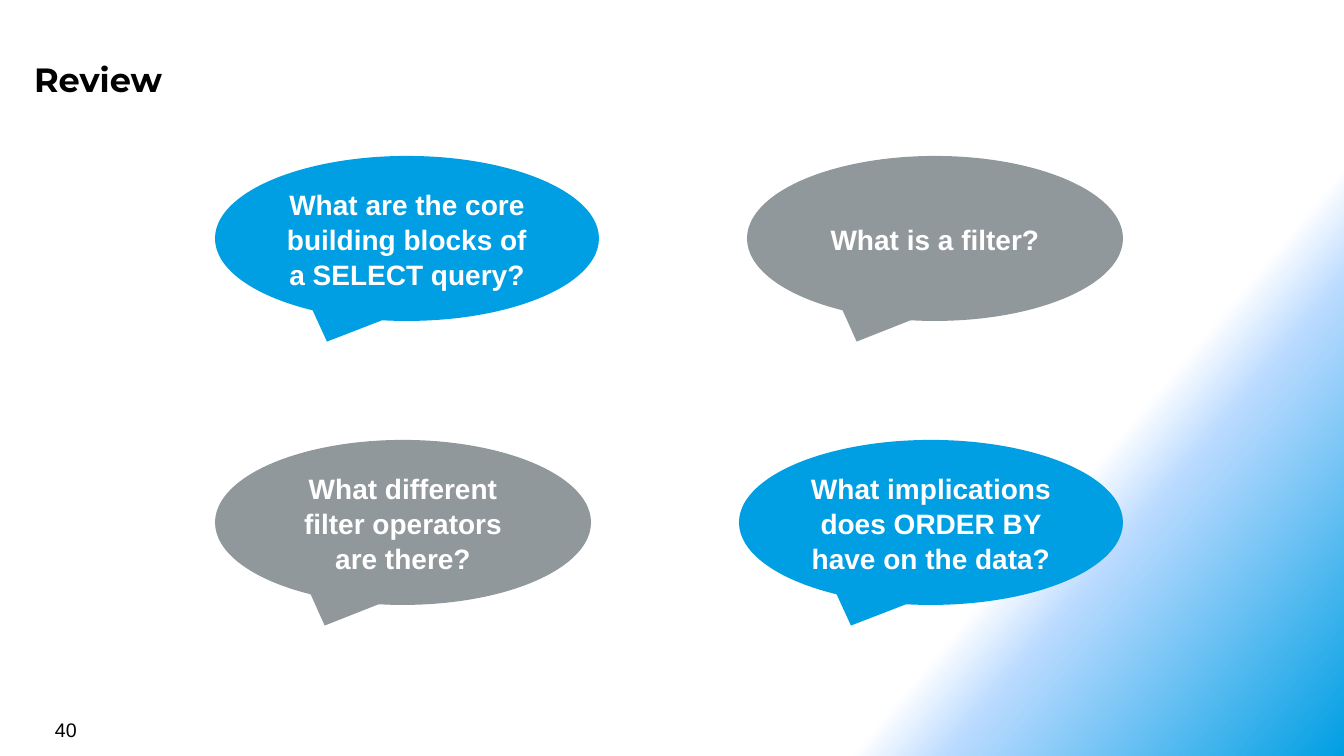
from lxml.etree import SubElement
from pptx import Presentation
from pptx.dml.color import RGBColor
from pptx.enum.shapes import MSO_SHAPE
from pptx.enum.text import MSO_ANCHOR, MSO_AUTO_SIZE, PP_ALIGN
from pptx.oxml.ns import qn
from pptx.util import Pt

COLOR = {"blue": "009FE3", "gray": "91989C", "pale": "B9DAFF",
         "white": "FFFFFF", "black": "000000"}
TITLE = "Review"
PAGE = "40"
ASKS = [
    ("What are the core building blocks of a SELECT query?", "blue", 0, 0),
    ("What different filter operators are there?", "gray", 0, 1),
    ("What is a filter?", "gray", 1, 0),
    ("What implications does ORDER BY have on the data?", "blue", 1, 1),
]
STOPS = [(75, "white"), (80, "pale"), (100, "blue")]
ANGLE = 40
WIDE, HIGH = 1344, 756
LEFT, RIGHT, TOP, STEP, TALL = 215, 1123, 156, 284, 165
WIDTH = {"blue": 384, "gray": 376}
FONT = {
    "title": {"name": "Montserrat", "size": Pt(24), "bold": True},
    "ask": {"name": "Arial", "size": Pt(20), "bold": True},
    "page": {"name": "Arial", "size": Pt(14), "bold": False},
}


def px(num):
    return round(num * 914400 / 100.8)


def rgb(name):
    return RGBColor.from_string(COLOR[name])


def place(shape, *box):
    for key, num in zip(("left", "top", "width", "height"), box):
        setattr(shape, key, px(num))


def write(shape, text, kind, color, align, anchor, pad=None):
    frame = shape.text_frame
    form = {"word_wrap": True, "auto_size": MSO_AUTO_SIZE.NONE,
            "vertical_anchor": anchor}
    if pad is not None:
        for side in ("left", "right", "top", "bottom"):
            form["margin_" + side] = px(pad)
    for key, val in form.items():
        setattr(frame, key, val)
    frame.text = text
    para = frame.paragraphs[0]
    para.alignment = align
    font = para.runs[0].font
    for key, val in FONT[kind].items():
        setattr(font, key, val)
    font.color.rgb = rgb(color)
    return para


def paint(slide):
    fill = slide.background.fill
    fill.gradient()
    grad = slide.background._cSld.find(".//" + qn("a:gradFill"))
    for part in list(grad):
        grad.remove(part)
    stops = SubElement(grad, qn("a:gsLst"))
    for pos, name in STOPS:
        stop = SubElement(stops, qn("a:gs"), pos=str(pos * 1000))
        SubElement(stop, qn("a:srgbClr"), val=COLOR[name])
    SubElement(grad, qn("a:lin"), ang=str(ANGLE * 60000), scaled="0")


def main():
    deck = Presentation()
    deck.slide_width, deck.slide_height = px(WIDE), px(HIGH)
    slide = deck.slides.add_slide(deck.slide_layouts[5])
    paint(slide)

    title = slide.shapes.title
    place(title, 26, 51, 1236, 55)
    write(title, TITLE, "title", "black", PP_ALIGN.LEFT, MSO_ANCHOR.TOP, 8)

    for text, color, col, row in ASKS:
        wide = WIDTH[color]
        left = RIGHT - wide if col else LEFT
        box = [px(num) for num in (left, TOP + row * STEP, wide, TALL)]
        call = slide.shapes.add_shape(MSO_SHAPE.OVAL_CALLOUT, *box)
        call.shadow.inherit = False
        call.fill.solid()
        call.fill.fore_color.rgb = rgb(color)
        call.line.fill.background()
        para = write(call, text, "ask", "white", PP_ALIGN.CENTER, MSO_ANCHOR.MIDDLE)
        para.line_spacing = 1.05

    page = slide.shapes.add_textbox(*[px(num) for num in (45, 713, 313, 33)])
    write(page, PAGE, "page", "black", PP_ALIGN.LEFT, MSO_ANCHOR.TOP)
    deck.save("out.pptx")


if __name__ == "__main__":
    main()
